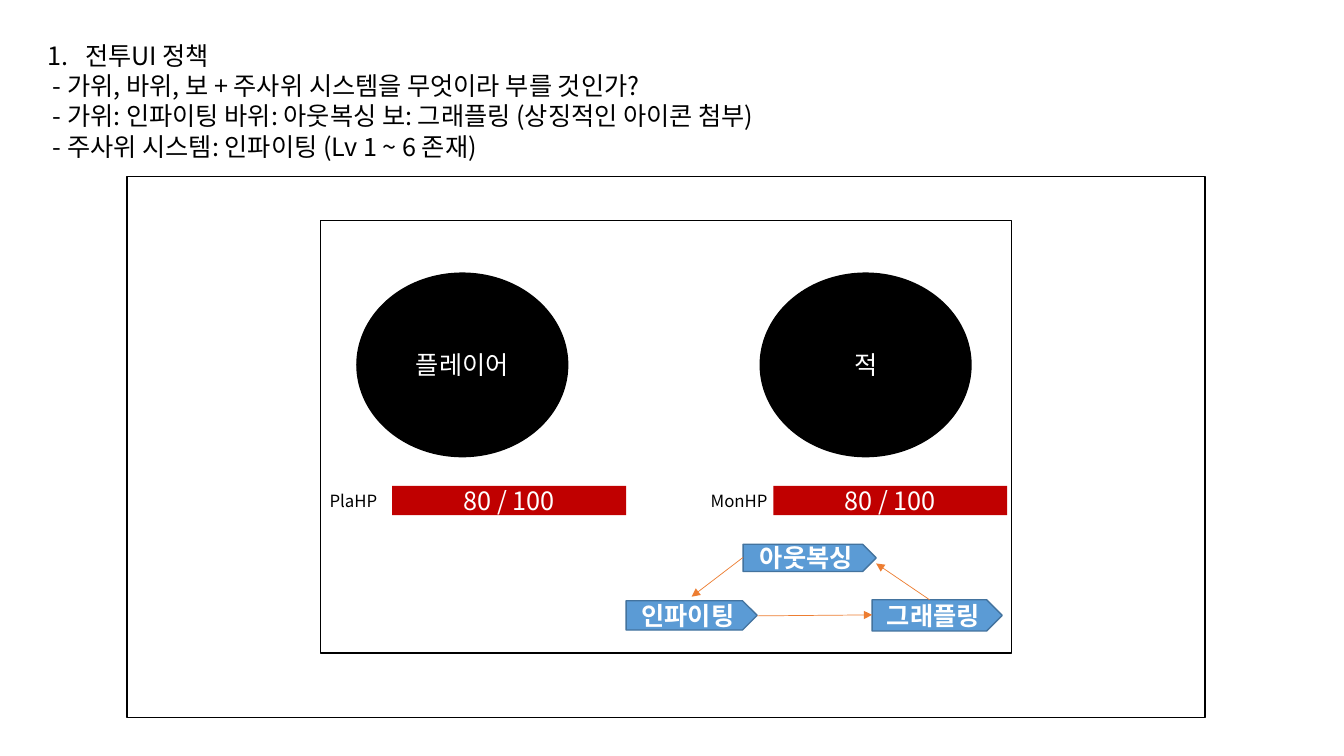
from lxml import etree
from pptx import Presentation
from pptx import util as u
from pptx.dml.color import RGBColor
from pptx.enum import shapes, text
from pptx.oxml import ns

COLORS = {"ink": "000000", "paper": "FFFFFF", "hp": "C00000",
          "move": "5B9BD5", "move_edge": "43739E", "arrow": "ED7D31"}
FONT = "Noto Sans CJK KR"
FORMATS = {
    "policy": {"size": u.Pt(18), "bold": False, "name": FONT},
    "label": {"size": u.Pt(12), "bold": False, "name": FONT},
    "value": {"size": u.Pt(18), "bold": False, "name": FONT},
    "move": {"size": u.Pt(18), "bold": True, "name": FONT},
}
POLICY = [
    "전투UI 정책",
    " - 가위, 바위, 보 + 주사위 시스템을 무엇이라 부를 것인가?",
    " - 가위: 인파이팅 바위: 아웃복싱 보: 그래플링 (상징적인 아이콘 첨부)",
    " - 주사위 시스템: 인파이팅 (Lv 1 ~ 6 존재)",
]
SCREEN = (1.26, 1.75, 10.69, 5.37)
ARENA = (3.18, 2.19, 6.85, 4.29)


def rgb(color):
    """Return the named colour."""
    return RGBColor.from_string(COLORS[color])


def inches(*lengths):
    """Turn plain numbers into lengths."""
    return [u.Inches(length) for length in lengths]


def write(paragraph, words, style, color):
    """Write one formatted run with a compact line height."""
    run = paragraph.add_run()
    run.text = words
    for key, value in FORMATS[style].items():
        setattr(run.font, key, value)
    run.font.color.rgb = rgb(color)
    etree.SubElement(run.font._element, ns.qn("a:ea"), typeface=FONT)
    paragraph.line_spacing = u.Pt(FORMATS[style]["size"].pt * 1.2)


def add_note(slide, box, lines, style):
    """Add a text box with one paragraph per line."""
    frame = slide.shapes.add_textbox(*inches(*box)).text_frame
    frame.word_wrap = True
    frame.auto_size = text.MSO_AUTO_SIZE.SHAPE_TO_FIT_TEXT
    for index, line in enumerate(lines):
        paragraph = frame.add_paragraph() if index else frame.paragraphs[0]
        write(paragraph, line, style, "ink")
    return frame


def add_block(slide, kind, box, fill, edge=None, words="", style="value"):
    """Add a filled preset shape with centred words."""
    block = slide.shapes.add_shape(kind, *inches(*box))
    block.shadow.inherit = False
    block.fill.solid()
    block.fill.fore_color.rgb = rgb(fill)
    if edge:
        block.line.color.rgb = rgb(edge)
        block.line.width = u.Pt(1)
    else:
        block.line.fill.background()
    if words:
        block.text_frame.vertical_anchor = text.MSO_ANCHOR.MIDDLE
        paragraph = block.text_frame.paragraphs[0]
        paragraph.alignment = text.PP_ALIGN.CENTER
        write(paragraph, words, style, "paper")


def add_arrow(slide, start, end):
    """Add a thin arrow between two points."""
    arrow = slide.shapes.add_connector(
        shapes.MSO_CONNECTOR.STRAIGHT, *inches(*start, *end))
    arrow.line.color.rgb = rgb("arrow")
    arrow.line.width = u.Pt(0.5)
    etree.SubElement(arrow.line._get_or_add_ln(), ns.qn("a:tailEnd"), type="triangle")
    etree.SubElement(arrow._element.spPr, ns.qn("a:effectLst"))


def add_policy(slide, box):
    """Add the policy text with its numbered heading."""
    heading = add_note(slide, box, POLICY, "policy").paragraphs[0]
    properties = heading._p.get_or_add_pPr()
    properties.set("marL", str(u.Inches(0.375)))
    properties.set("indent", str(-u.Inches(0.375)))
    etree.SubElement(properties, ns.qn("a:buFont"), typeface=FONT)
    etree.SubElement(properties, ns.qn("a:buAutoNum"), type="arabicPeriod")


def add_combatant(slide, box, name, hp_label, portrait_indent):
    """Add a portrait above its labelled health bar."""
    left, top, width, height = box
    bar_top = top + 2.11
    add_block(slide, shapes.MSO_SHAPE.OVAL,
              (left + portrait_indent, top, 2.09, 1.82), "ink", "ink", name)
    add_block(slide, shapes.MSO_SHAPE.RECTANGLE,
              (left + 0.72, bar_top, width - 0.72, height - 2.11), "hp", words="80 / 100")
    add_note(slide, (left, bar_top, 0.78, 0.3), [hp_label], "label")


def add_moves(slide, box):
    """Add the three moves and the arrows of their cycle."""
    left, top, width, height = box
    moves = {"인파이팅": (0, 0.56, 1.3, 0.29),
             "아웃복싱": (1.16, 0, 1.32, 0.27),
             "그래플링": (width - 1.29, height - 0.31, 1.29, 0.31)}
    for move, (x, y, w, h) in moves.items():
        add_block(slide, shapes.MSO_SHAPE.PENTAGON, (left + x, top + y, w, h),
                  "move", "move_edge", move, "move")
    cycle = [((3.01, 0.55), (2.48, 0.19)),
             ((1.16, 0.13), (0.65, 0.52)),
             ((1.3, 0.71), (2.44, 0.7))]
    for ends in cycle:
        add_arrow(slide, *[(left + x, top + y) for x, y in ends])


def add_battle(slide, box):
    """Add the battle arena with both combatants and the moves."""
    left, top, width, height = box
    add_block(slide, shapes.MSO_SHAPE.RECTANGLE, box, "paper", "ink")
    add_moves(slide, (left + 3.03, top + 3.21, 3.73, 0.86))
    add_combatant(slide, (left + 3.77, top + 0.52, 3.04, 2.4), "적", "MonHP", 0.59)
    add_combatant(slide, (left - 0.01, top + 0.52, 3.04, 2.4), "플레이어", "PlaHP", 0.37)


def main():
    """Build and save the slide."""
    deck = Presentation()
    deck.slide_width, deck.slide_height = inches(13.33, 7.5)
    slide = deck.slides.add_slide(deck.slide_layouts[6])
    add_policy(slide, (0.37, 0.35, 11.65, 1.31))
    add_block(slide, shapes.MSO_SHAPE.RECTANGLE, SCREEN, "paper", "ink")
    add_battle(slide, ARENA)
    deck.save("out.pptx")


if __name__ == "__main__":
    main()
